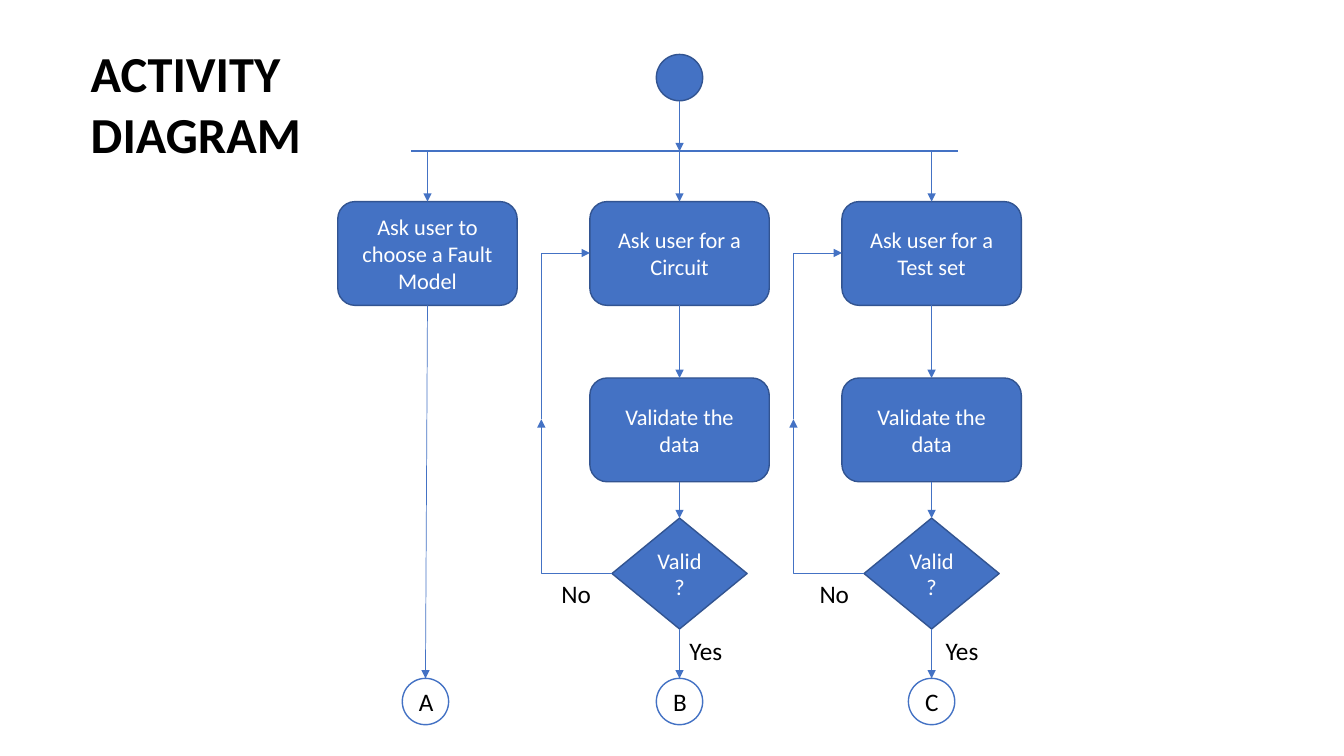
import pptx
import pptx.util
import pptx.dml.color
import pptx.enum.shapes
import pptx.enum.text
import pptx.oxml
import pptx.oxml.ns

SCALE = 9144
INK = {"blue": "4472C4", "edge": "325491", "white": "FFFFFF", "black": "000000"}
KIND = pptx.enum.shapes.MSO_SHAPE
JOIN = pptx.enum.shapes.MSO_CONNECTOR
ALIGN = pptx.enum.text.PP_ALIGN
ANCHOR = pptx.enum.text.MSO_ANCHOR
GROW = pptx.enum.text.MSO_AUTO_SIZE.SHAPE_TO_FIT_TEXT
BAR = 150
BOX = (178, 103)
GEM = (134, 110)
DOT = (46, 46)


def px(n):
    return pptx.util.Emu(round(n * SCALE))


def tint(name):
    return pptx.dml.color.RGBColor.from_string(INK[name])


def apply(item, **values):
    for name, value in values.items():
        setattr(item, name, value)


def write(shape, text, size, ink, align, bold=False, **frame):
    apply(shape.text_frame, text=text, **frame)
    para = shape.text_frame.paragraphs[0]
    apply(para, alignment=align, line_spacing=1.0)
    font = para.runs[0].font
    apply(font, name="Calibri", size=pptx.util.Pt(size), bold=bold)
    font.color.rgb = tint(ink)


def head(slide, text):
    title = slide.shapes.title
    apply(title, left=px(80), top=px(37), width=px(412), height=px(71))
    write(title, text, 36, "black", ALIGN.LEFT, True,
          word_wrap=True, auto_size=GROW, vertical_anchor=ANCHOR.TOP)


def node(slide, kind, mid, top, size, text="", fill="blue", edge="edge", ink="white", pt=16):
    wide, high = size
    shape = slide.shapes.add_shape(kind, px(mid - wide // 2), px(top), px(wide), px(high))
    shape.shadow.inherit = False
    shape.fill.solid()
    shape.fill.fore_color.rgb = tint(fill)
    shape.line.color.rgb = tint(edge)
    shape.line.width = pptx.util.Pt(1)
    if text:
        write(shape, text, pt, ink, ALIGN.CENTER, word_wrap=True, vertical_anchor=ANCHOR.MIDDLE)
    return shape


def mark(slide, mid, text):
    return node(slide, KIND.OVAL, mid, 673, DOT, text, "white", "blue", "black", 18)


def label(slide, left, top, wide, text, wrap):
    box = slide.shapes.add_textbox(px(left), px(top), px(wide), px(40))
    write(box, text, 18, "black", ALIGN.LEFT, word_wrap=wrap, auto_size=GROW)


def line(slide, start, end, width=0.5, arrow=True, kind=JOIN.STRAIGHT):
    wire = slide.shapes.add_connector(kind, *map(px, start + end))
    wire.line.color.rgb = tint("blue")
    wire.line.width = pptx.util.Pt(width)
    if arrow:
        tail = pptx.oxml.parse_xml(
            f'<a:tailEnd {pptx.oxml.ns.nsdecls("a")} type="triangle"/>')
        wire.line._get_or_add_ln().append(tail)
    wire._element.spPr.append(
        pptx.oxml.parse_xml(f'<a:effectLst {pptx.oxml.ns.nsdecls("a")}/>'))
    return wire


def link(slide, upper, lower):
    wire = line(slide, (0, 0), (1, 1))
    wire.begin_connect(upper, 2)
    wire.end_connect(lower, 0)


def drop(slide, mid, box):
    line(slide, (mid, BAR), (mid, 200)).end_connect(box, 0)


def bend(slide, start, end, turn=False):
    if turn:
        midx, midy = (start[0] + end[0]) / 2, (start[1] + end[1]) / 2
        halfx, halfy = abs(start[1] - end[1]) / 2, abs(start[0] - end[0]) / 2
        start, end = (midx + halfx, midy + halfy), (midx - halfx, midy - halfy)
    wire = line(slide, start, end, kind=JOIN.ELBOW)
    form = wire._element.spPr
    form.find(pptx.oxml.ns.qn("a:prstGeom")).set("prst", "bentConnector2")
    if turn:
        form.find(pptx.oxml.ns.qn("a:xfrm")).set("rot", str(90 * 60000))


def branch(slide, mid, ask, letter, no, yes):
    first = node(slide, KIND.ROUNDED_RECTANGLE, mid, 200, BOX, ask)
    check = node(slide, KIND.ROUNDED_RECTANGLE, mid, 375, BOX, "Validate the data")
    gem = node(slide, KIND.DIAMOND, mid, 514, GEM, "Valid ?")
    goal = mark(slide, mid, letter)
    drop(slide, mid, first)
    for upper, lower in ((first, check), (check, gem), (gem, goal)):
        link(slide, upper, lower)
    back = (mid - 137, 416)
    bend(slide, (mid - GEM[0] // 2, 569), back)
    bend(slide, back, (mid - BOX[0] // 2, 251), True)
    label(slide, no, 569, 50, "No", False)
    label(slide, yes, 625, 56, "Yes", True)


def main():
    deck = pptx.Presentation()
    apply(deck, slide_width=px(1333), slide_height=px(750))
    slide = deck.slides.add_slide(deck.slide_layouts.get_by_name("Title Only"))
    head(slide, "ACTIVITY DIAGRAM")
    node(slide, KIND.OVAL, 674, 54, DOT)
    line(slide, (674, 100), (674, BAR))
    line(slide, (408, BAR), (950, BAR), 1.5, False)
    fault = node(slide, KIND.ROUNDED_RECTANGLE, 424, 200, BOX, "Ask user to choose a Fault Model")
    drop(slide, 424, fault)
    link(slide, fault, mark(slide, 422, "A"))
    branch(slide, 674, "Ask user for a Circuit", "B", 547, 674)
    branch(slide, 924, "Ask user for a Test set", "C", 803, 928)
    deck.save("out.pptx")


if __name__ == "__main__":
    main()
